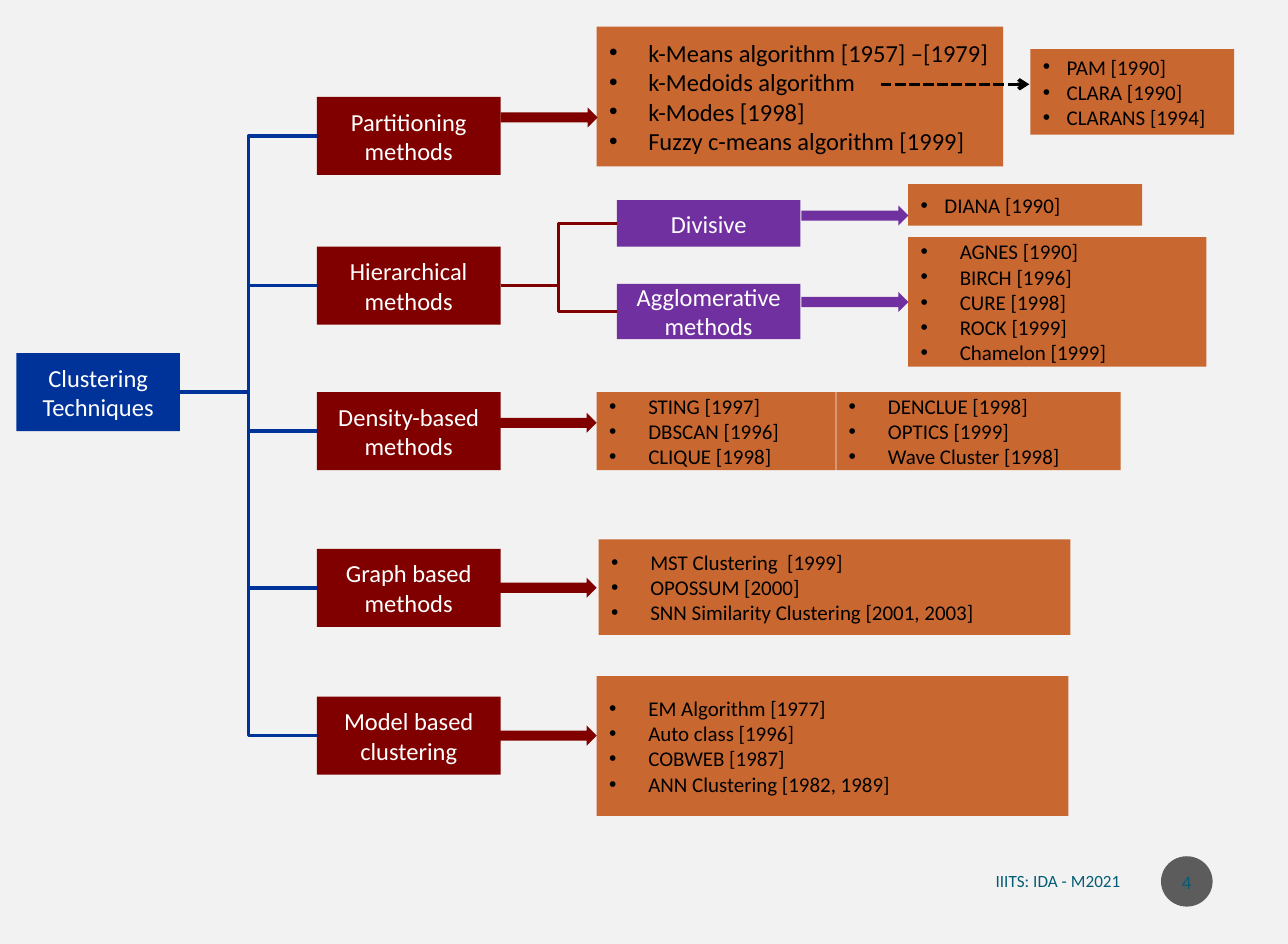
"""Draw a tree of clustering methods with the algorithms of each branch."""
import dataclasses
import typing

import lxml.etree
import pptx
import pptx.dml.color
import pptx.enum.dml
import pptx.enum.shapes
import pptx.enum.text
import pptx.oxml.ns
import pptx.util

WIDE, HIGH = pptx.util.Cm(26), pptx.util.Cm(19.05)
COLS, ROWS = 128, 75
BLUE, MAROON, PURPLE, ORANGE = "003399", "800000", "7030A0", "C96731"
WHITE, BLACK, TEAL = "FFFFFF", "000000", "045D75"
KIND = pptx.enum.shapes.MSO_SHAPE
LINK = pptx.enum.shapes.MSO_CONNECTOR
ALIGN = pptx.enum.text.PP_ALIGN
LEFT, RIGHT = 1, 3


@dataclasses.dataclass
class Node:
    text: str
    col: float
    row: float
    cols: float
    rows: float
    fill: str


@dataclasses.dataclass
class Group:
    lines: tuple[str, ...]
    col: float
    row: float
    cols: float
    rows: float
    size: float = 12
    indent: float = 3.9


@dataclasses.dataclass
class Arrow:
    col: float
    row: float
    cols: float
    fill: str


ROOT = Node("Clustering Techniques", 1.63, 28.05, 16.25, 6.2, BLUE)
METHODS = [Node(text, 31.5, row, 18.25, 6.2, MAROON) for text, row in (
    ("Partitioning methods", 7.7),
    ("Hierarchical methods", 19.6),
    ("Density-based methods", 31.15),
    ("Graph based methods", 43.6),
    ("Model based clustering", 55.35),
)]
SPLITS = [
    Node("Divisive", 61.3, 15.9, 18.25, 3.7, PURPLE),
    Node("Agglomerative methods", 61.3, 22.55, 18.25, 4.4, PURPLE),
]
GROUPS = [
    Group(("k-Means algorithm [1957] –[1979]", "k-Medoids algorithm", "k-Modes [1998]",
           "Fuzzy c-means algorithm [1999]"), 59.3, 2.12, 40.4, 11.1, size=14),
    Group(("STING [1997]", "DBSCAN [1996]", "CLIQUE [1998]"), 59.3, 31.15, 23.75, 6.2),
    Group(("DENCLUE [1998]", "OPTICS [1999]", "Wave Cluster [1998]"), 83.12, 31.15, 28.25, 6.2),
    Group(("MST Clustering  [1999]", "OPOSSUM [2000]",
           "SNN Similarity Clustering [2001, 2003]"), 59.5, 42.85, 46.88, 7.6),
    Group(("EM Algorithm [1977]", "Auto class [1996]", "COBWEB [1987]",
           "ANN Clustering [1982, 1989]"), 59.3, 53.72, 46.88, 11.1),
    Group(("AGNES [1990]", "BIRCH [1996]", "CURE [1998]", "ROCK [1999]",
           "Chamelon [1999]"), 90.25, 18.84, 29.63, 10.3),
    Group(("DIANA [1990]",), 90.25, 14.64, 23.25, 3.3, indent=2.38),
    Group(("PAM [1990]", "CLARA [1990]", "CLARANS [1994]"), 102.4, 3.9, 20.25, 6.8, indent=2.38),
]
ARROWS = [
    Arrow(79.63, 16.33, 10.65, PURPLE),
    Arrow(79.63, 23.2, 10.65, PURPLE),
    Arrow(49.75, 8.53, 9.65, MAROON),
    *(Arrow(49.65, row, 9.65, MAROON) for row in (32.8, 45.9, 57.65)),
]


def across(cols: float) -> int:
    """Turn grid columns into a length."""
    return round(WIDE * cols / COLS)


def down(rows: float) -> int:
    """Turn grid rows into a length."""
    return round(HIGH * rows / ROWS)


def hue(code: str) -> pptx.dml.color.RGBColor:
    """Turn a hex string into a colour."""
    return pptx.dml.color.RGBColor.from_string(code)


def add(owner: typing.Any, tag: str, **traits: str) -> typing.Any:
    """Append a drawing element to its owner."""
    return lxml.etree.SubElement(owner, pptx.oxml.ns.qn(tag), traits)


def write(shape: typing.Any, *lines: str, size: float = 14, tint: str = WHITE,
          align: typing.Any = ALIGN.CENTER, indent: float = 0) -> None:
    """Fill a shape with lines, as bullets when an indent is given."""
    frame = shape.text_frame
    frame.word_wrap = True
    frame.vertical_anchor = pptx.enum.text.MSO_ANCHOR.MIDDLE
    for count, line in enumerate(lines):
        para = frame.add_paragraph() if count else frame.paragraphs[0]
        para.alignment = align
        run = para.add_run()
        run.text = line
        run.font.name = "Calibri"
        run.font.size = pptx.util.Pt(size)
        run.font.color.rgb = hue(tint)
        if indent:
            props = para._p.get_or_add_pPr()
            props.set("marL", str(across(indent)))
            props.set("indent", str(-across(indent)))
            add(props, "a:buFont", typeface="Arial")
            add(props, "a:buChar", char="•")


def block(slide: typing.Any, kind: typing.Any, col: float, row: float,
          cols: float, rows: float, fill: str) -> typing.Any:
    """Add a flat filled shape on the grid."""
    shape = slide.shapes.add_shape(kind, across(col), down(row), across(cols), down(rows))
    shape.shadow.inherit = False
    shape.fill.solid()
    shape.fill.fore_color.rgb = hue(fill)
    shape.line.fill.background()
    return shape


def box(slide: typing.Any, node: Node) -> typing.Any:
    """Add a labelled tree node."""
    shape = block(slide, KIND.RECTANGLE, node.col, node.row, node.cols, node.rows, node.fill)
    write(shape, node.text)
    return shape


def link(slide: typing.Any, kind: typing.Any, tint: str, start: tuple[float, float] = (0, 0),
         end: tuple[float, float] = (0, 0), source: typing.Any = None,
         target: typing.Any = None) -> typing.Any:
    """Add a line between grid points or the sides of shapes."""
    line = slide.shapes.add_connector(kind, across(start[0]), down(start[1]),
                                      across(end[0]), down(end[1]))
    if source is not None:
        line.begin_connect(source, RIGHT)
    if target is not None:
        line.end_connect(target, LEFT)
    line.line.color.rgb = hue(tint)
    line.line.width = pptx.util.Pt(2)
    add(line._element.spPr, "a:effectLst")
    return line


def foot(slide: typing.Any) -> None:
    """Add the footer and the page badge."""
    label = slide.shapes.add_textbox(across(83.7), down(68.25), across(28.88), down(3.5))
    write(label, "IIITS: IDA - M2021", size=9.8, tint=TEAL, align=ALIGN.RIGHT)
    badge = block(slide, KIND.OVAL, 115.38, 68.03, 5.13, 4, "1D1D1D")
    add(badge.fill._xPr.solidFill[0], "a:alpha", val="70000")
    write(badge, "4", size=11, tint=TEAL)


def main() -> None:
    """Build and save the slide."""
    deck = pptx.Presentation()
    deck.slide_width, deck.slide_height = WIDE, HIGH
    slide = deck.slides.add_slide(deck.slide_layouts[6])
    slide.background.fill.solid()
    slide.background.fill.fore_color.rgb = hue("F2F2F2")
    foot(slide)

    root = box(slide, ROOT)
    heads = [box(slide, node) for node in METHODS]
    splits = [box(slide, node) for node in SPLITS]
    for group in GROUPS:
        shape = block(slide, KIND.RECTANGLE, group.col, group.row, group.cols, group.rows, ORANGE)
        write(shape, *group.lines, size=group.size, tint=BLACK, align=ALIGN.LEFT,
              indent=group.indent)

    for head in (heads[0], heads[-1]):
        link(slide, LINK.ELBOW, BLUE, source=root, target=head)
    trunk = (ROOT.col + ROOT.cols + METHODS[0].col) / 2
    for node, head in zip(METHODS[1:-1], heads[1:-1]):
        link(slide, LINK.STRAIGHT, BLUE, (trunk, node.row + node.rows / 2), target=head)
    for split in splits:
        link(slide, LINK.ELBOW, MAROON, source=heads[1], target=split)

    for arrow in ARROWS:
        block(slide, KIND.RIGHT_ARROW, arrow.col, arrow.row, arrow.cols, 1.6, arrow.fill)
    dash = link(slide, LINK.STRAIGHT, BLACK, (87.55, 6.7), (102.3, 6.7))
    dash.line.dash_style = pptx.enum.dml.MSO_LINE.SQUARE_DOT
    add(dash.line._get_or_add_ln(), "a:tailEnd", type="arrow")
    deck.save("out.pptx")


if __name__ == "__main__":
    main()
